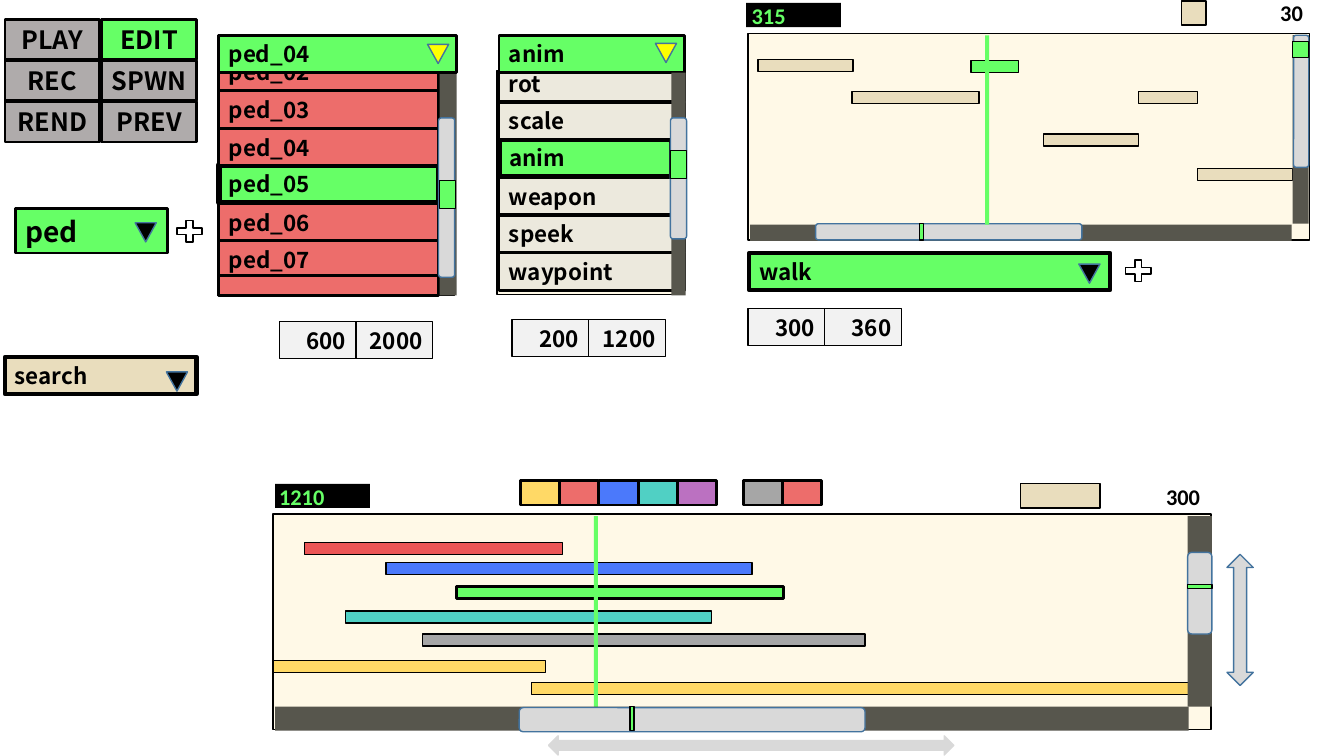
from pptx import Presentation
from pptx.dml.color import RGBColor
from pptx.enum import shapes, text
from pptx.oxml import parse_xml
from pptx.oxml import ns
from pptx.util import Inches, Pt

BLACK = RGBColor(0x00, 0x00, 0x00)
WHITE = RGBColor(0xFF, 0xFF, 0xFF)
GREEN = RGBColor(0x66, 0xFF, 0x66)
CREAM = RGBColor(0xFF, 0xF2, 0xCC)
SAND = RGBColor(0xE9, 0xDD, 0xBD)
IVORY = RGBColor(0xEC, 0xE9, 0xDD)
CORAL = RGBColor(0xED, 0x6D, 0x6B)
RED = RGBColor(0xEC, 0x56, 0x56)
BLUE = RGBColor(0x4B, 0x79, 0xFB)
TEAL = RGBColor(0x50, 0xD0, 0xC4)
PURPLE = RGBColor(0xBB, 0x71, 0xC1)
AMBER = RGBColor(0xFF, 0xD9, 0x66)
YELLOW = RGBColor(0xFF, 0xFF, 0x00)
GREY = RGBColor(0xA6, 0xA6, 0xA6)
BUTTON = RGBColor(0xAF, 0xAB, 0xAB)
FIELD = RGBColor(0xF2, 0xF2, 0xF2)
TRACK = RGBColor(0x57, 0x56, 0x4D)
THUMB = RGBColor(0xD9, 0xD9, 0xD9)
EDGE = RGBColor(0x43, 0x73, 0x9E)

KIND = shapes.MSO_SHAPE
LEFT, CENTER, RIGHT = text.PP_ALIGN.LEFT, text.PP_ALIGN.CENTER, text.PP_ALIGN.RIGHT
HEAVY_FONT = "Noto Sans CJK SC"
ROW = 0.37


def write(box, words, size=16, font=HEAVY_FONT, color=BLACK, align=LEFT):
    frame = box.text_frame
    frame.word_wrap = True
    frame.vertical_anchor = text.MSO_ANCHOR.MIDDLE
    para = frame.paragraphs[0]
    para.alignment = align
    span = para.add_run()
    span.text = words
    span.font.size, span.font.bold = Pt(size), True
    span.font.name, span.font.color.rgb = font, color
    fallback = parse_xml(f'<a:ea {ns.nsdecls("a")} typeface="{font}"/>')
    span.font._element.append(fallback)


def add_box(page, place, fill, line=BLACK, weight=1, kind=KIND.RECTANGLE):
    box = page.shapes.add_shape(kind, *map(Inches, place))
    box.shadow.inherit = False
    box.fill.solid()
    box.fill.fore_color.rgb = fill
    if line is None:
        box.line.fill.background()
    else:
        box.line.color.rgb = line
        box.line.width = Pt(weight)
    return box


def add_label(page, place, words, fill, weight=2, **style):
    write(add_box(page, place, fill, weight=weight), words, **style)


def add_panel(page, place):
    panel = add_box(page, place, CREAM)
    color = panel.fill._xPr.find(ns.qn("a:solidFill"))[0]
    color.append(parse_xml(f'<a:alpha {ns.nsdecls("a")} val="46000"/>'))


def add_caption(page, place, words, **style):
    box = page.shapes.add_textbox(*map(Inches, place))
    write(box, words, font="Calibri", **style)


def add_scrollbar(page, track, thumb, marker):
    add_box(page, track, TRACK, line=None)
    add_box(page, thumb, THUMB, line=EDGE, kind=KIND.ROUNDED_RECTANGLE)
    add_box(page, marker, GREEN)


def add_dropdown_arrow(page, left, top, fill=BLACK):
    arrow = add_box(page, (left, top, 0.21, 0.19), fill, line=EDGE,
                    kind=KIND.ISOSCELES_TRIANGLE)
    arrow.rotation = 180


def add_plus(page, left, top):
    add_box(page, (left, top, 0.34, 0.29), WHITE, kind=KIND.MATH_PLUS)


def add_bars(page, bars):
    for left, top, width, fill, weight in bars:
        add_box(page, (left, top, width, 0.12), fill, weight=weight)


def add_fields(page, left, top, values):
    for i, value in enumerate(values):
        add_label(page, (left + i * 0.76, top, 0.76, ROW), value, FIELD,
                  weight=1, align=RIGHT)


def add_swatches(page, left, fills):
    for i, fill in enumerate(fills):
        add_box(page, (left + i * 0.39, 4.77, 0.39, 0.24), fill, weight=2)


def add_mode_buttons(page):
    modes = ["PLAY", "EDIT", "REC", "SPWN", "REND", "PREV"]
    for i, mode in enumerate(modes):
        row, column = divmod(i, 2)
        add_label(page, (0.05 + column * 0.96, 0.19 + row * 0.41, 0.94, 0.4), mode,
                  GREEN if mode == "EDIT" else BUTTON, size=18, align=CENTER)


def add_ped_list(page):
    add_panel(page, (2.16, 0.72, 2.35, 2.21))
    add_label(page, (2.17, 1.64, 2.18, ROW), "ped_05", GREEN, weight=4)
    for number in (2, 3, 4, 6, 7):
        add_label(page, (2.17, 0.53 + (number - 2) * 0.372, 2.18, ROW),
                  f"ped_0{number}", CORAL)
    add_box(page, (2.17, 2.73, 2.18, 0.2), CORAL, weight=2)
    add_scrollbar(page, (4.36, 0.7, 0.17, 2.23), (4.35, 1.17, 0.16, 1.58),
                  (4.36, 1.79, 0.16, 0.28))
    add_label(page, (2.17, 0.35, 2.36, ROW), "ped_04", GREEN)
    add_dropdown_arrow(page, 4.24, 0.44, YELLOW)
    add_fields(page, 2.77, 3.19, ["600", "2000"])


def add_property_list(page):
    add_panel(page, (4.93, 0.7, 1.84, 2.22))
    add_label(page, (4.95, 1.38, 1.71, ROW), "anim", GREEN, weight=4)
    rows = ["rot", "scale", None, "weapon", "speek", "waypoint"]
    for i, words in enumerate(rows):
        if words:
            add_label(page, (4.95, 0.64 + i * 0.374, 1.84, ROW), words, IVORY)
    add_label(page, (4.95, 0.35, 1.84, ROW), "anim", GREEN)
    add_dropdown_arrow(page, 6.5, 0.43, YELLOW)
    add_scrollbar(page, (6.66, 0.72, 0.14, 2.21), (6.65, 1.17, 0.16, 1.2),
                  (6.65, 1.49, 0.16, 0.28))
    add_fields(page, 5.08, 3.17, ["200", "1200"])


def add_clip_timeline(page):
    add_box(page, (7.4, 0.03, 0.94, 0.24), BLACK, line=None)
    add_caption(page, (7.34, -0.03, 0.55, ROW), "315", color=GREEN, align=RIGHT)
    add_box(page, (11.72, 0.01, 0.24, 0.24), SAND)
    add_caption(page, (12.47, -0.06, 0.55, ROW), "30", align=RIGHT)
    add_panel(page, (7.42, 0.33, 5.57, 2.05))
    add_scrollbar(page, (7.44, 2.23, 5.37, 0.16), (8.09, 2.22, 2.64, 0.16),
                  (9.12, 2.22, 0.04, 0.16))
    add_bars(page, [(7.52, 0.59, 0.94, SAND, 1), (8.45, 0.91, 1.26, SAND, 1),
                    (9.63, 0.6, 0.47, GREEN, 1), (10.35, 1.33, 0.94, SAND, 1),
                    (11.29, 0.91, 0.59, SAND, 1), (11.88, 1.67, 0.94, SAND, 1)])
    add_box(page, (9.77, 0.35, 0.04, 1.88), GREEN, line=None)
    add_scrollbar(page, (12.82, 0.35, 0.16, 1.87), (12.83, 0.35, 0.15, 1.31),
                  (12.82, 0.41, 0.16, 0.16))
    # Clip picker under the timeline
    add_label(page, (7.43, 2.51, 3.58, ROW), "walk", GREEN, weight=3)
    add_dropdown_arrow(page, 10.7, 2.62)
    add_plus(page, 11.12, 2.54)
    add_fields(page, 7.42, 3.06, ["300", "360"])


def add_scene_timeline(page):
    add_box(page, (2.73, 4.8, 0.94, 0.24), BLACK, line=None)
    add_caption(page, (2.67, 4.74, 0.77, ROW), "1210", color=GREEN)
    add_swatches(page, 5.16, [AMBER, CORAL, BLUE, TEAL, PURPLE])
    add_swatches(page, 7.37, [GREY, CORAL])
    add_box(page, (10.12, 4.8, 0.79, 0.24), SAND)
    add_caption(page, (11.45, 4.74, 0.55, ROW), "300", align=RIGHT)
    add_panel(page, (2.71, 5.1, 9.3, 2.14))
    add_bars(page, [(3.02, 5.38, 2.56, RED, 1), (3.83, 5.58, 3.63, BLUE, 1),
                    (2.71, 6.55, 2.7, AMBER, 1), (3.43, 6.06, 3.63, TEAL, 1),
                    (4.19, 6.29, 4.39, GREY, 1), (4.53, 5.82, 3.24, GREEN, 2),
                    (5.27, 6.77, 6.52, AMBER, 1)])
    add_scrollbar(page, (11.78, 5.12, 0.24, 1.89), (11.78, 5.48, 0.24, 0.81),
                  (11.78, 5.8, 0.24, 0.04))
    add_box(page, (5.89, 5.12, 0.04, 1.9), GREEN, line=None)
    add_scrollbar(page, (2.73, 7.01, 9.06, 0.24), (5.15, 7.02, 3.43, 0.24),
                  (6.25, 7.01, 0.04, 0.24))
    # Scroll direction arrows
    add_box(page, (12.17, 5.5, 0.26, 1.3), THUMB, line=EDGE, kind=KIND.UP_DOWN_ARROW)
    add_box(page, (5.44, 7.3, 4.02, 0.19), THUMB, line=THUMB,
            kind=KIND.LEFT_RIGHT_ARROW)


def main():
    deck = Presentation()
    deck.slide_width, deck.slide_height = Inches(13.33), Inches(7.5)
    page = deck.slides.add_slide(deck.slide_layouts[6])
    # Left column: modes, entity type and search
    add_mode_buttons(page)
    add_label(page, (0.15, 2.07, 1.51, 0.44), "ped", GREEN, size=20)
    add_dropdown_arrow(page, 1.34, 2.21)
    add_plus(page, 1.71, 2.15)
    add_label(page, (0.05, 3.54, 1.9, ROW), "search", SAND, weight=3)
    add_dropdown_arrow(page, 1.65, 3.69)
    # Lists and timelines
    add_ped_list(page)
    add_property_list(page)
    add_clip_timeline(page)
    add_scene_timeline(page)
    deck.save("out.pptx")


if __name__ == "__main__":
    main()
